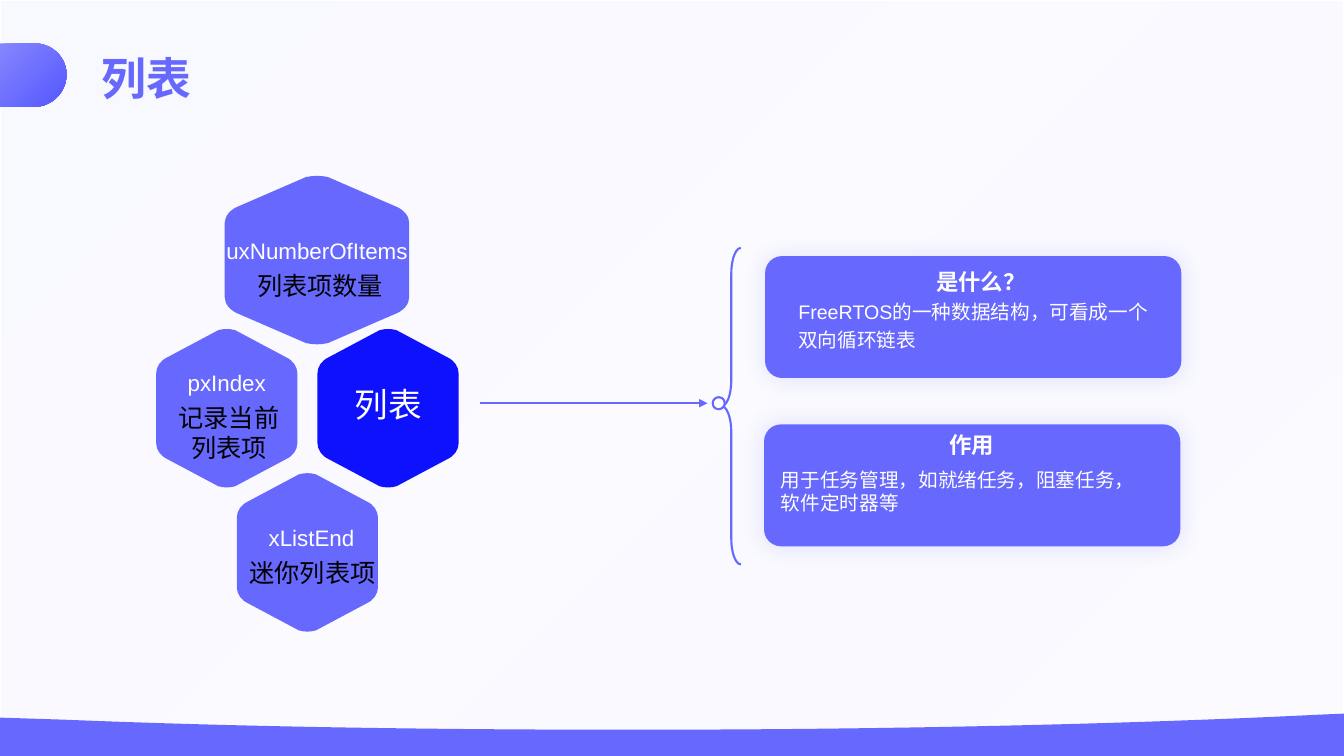
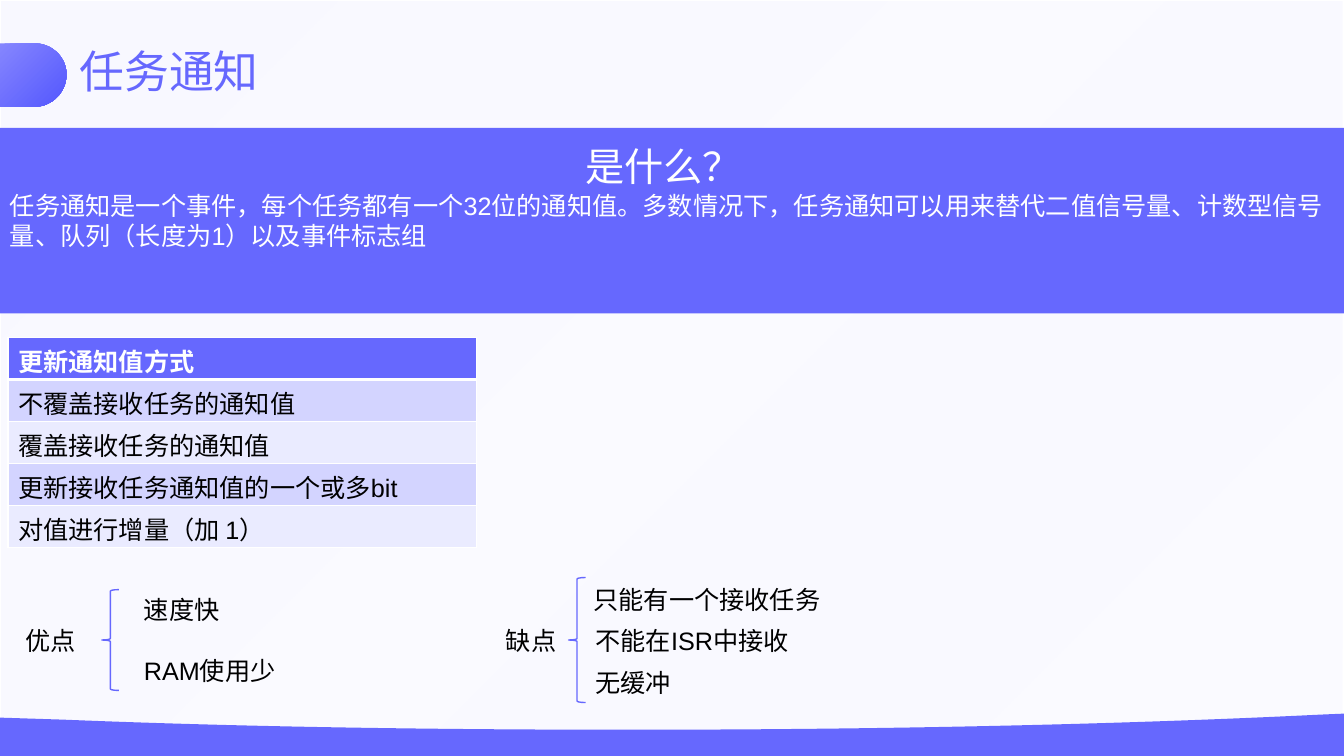
from lxml import etree
from pptx import Presentation
from pptx.dml.color import RGBColor
from pptx.enum.shapes import MSO_CONNECTOR, MSO_SHAPE
from pptx.enum.text import MSO_ANCHOR, PP_ALIGN
from pptx.oxml.ns import qn
from pptx.util import Inches, Pt

WIDE, HIGH = 40 / 3, 7.5
LEFT, MID = PP_ALIGN.LEFT, PP_ALIGN.CENTER
TOP, CENTRE = MSO_ANCHOR.TOP, MSO_ANCHOR.MIDDLE
RECT, ROUND = MSO_SHAPE.RECTANGLE, MSO_SHAPE.ROUNDED_RECTANGLE
BRACE, OVAL = MSO_SHAPE.LEFT_BRACE, MSO_SHAPE.OVAL
STRAIGHT = MSO_CONNECTOR.STRAIGHT
FONT = "Arial"
HUES = {
    "main": "6668FE", "deep": "0E11FD", "glow": "7577FE",
    "pale": "8586FE", "rich": "5457FE", "mist": "F7F7FF",
    "odd": "D3D4FF", "even": "EAEBFF", "white": "FFFFFF", "black": "000000",
}
# Gradient stops: place, colour, opacity, all in percent
SKY = [(0, "main", 2), (0, "pale", 5), (100, "main", 2)]
TAB = [(0, "mist", 100), (0, "pale", 100), (100, "rich", 100)]

# Outlines: a pair is a straight step, a triple of pairs is a curve
WAVE = [(WIDE, 7.08), (WIDE, 7.52), (0, 7.52), (0, 7.12), (0.63, 7.14),
        ((2.35, 7.21), (4.25, 7.24), (6.24, 7.24)),
        ((8.72, 7.24), (11.06, 7.19), (13.1, 7.09))]
PILL = [(0, 0.43), (0.34, 0.43), ((0.52, 0.43), (0.66, 0.57), (0.66, 0.74)),
        ((0.66, 0.91), (0.52, 1.06), (0.34, 1.06)), (0, 1.06)]
# Hexagon in shares of its box
HEX = [(0.56, 0.01), (0.92, 0.18), ((0.97, 0.2), (1, 0.24), (1, 0.28)),
       (1, 0.72), ((1, 0.76), (0.97, 0.8), (0.92, 0.82)),
       (0.56, 0.99), ((0.52, 1), (0.48, 1), (0.44, 0.99)),
       (0.08, 0.82), ((0.03, 0.8), (0, 0.76), (0, 0.72)),
       (0, 0.28), ((0, 0.24), (0.03, 0.2), (0.08, 0.18)),
       (0.44, 0.01), ((0.48, 0), (0.52, 0), (0.56, 0.01))]

HEXES = [
    ((3.15, 3.26, 1.4, 1.58), "deep"),
    ((2.23, 1.74, 1.83, 1.68), "main"),
    ((1.55, 3.26, 1.4, 1.58), "main"),
    ((2.35, 4.69, 1.4, 1.58), "main"),
]
# Names without inset: text, box, size
NAMES = [
    ("列表", (3.39, 3.81, 0.93, 0.4), 24),
    ("uxNumberOfItems", (2.23, 2.35, 1.83, 0.27), 16),
    ("pxIndex", (1.85, 3.66, 0.8, 0.27), 16),
    ("xListEnd", (2.65, 5.2, 0.88, 0.27), 16),
]
NOTES = [
    ("记录当前列表项", (1.61, 3.94, 1.32, 0.45)),
    ("列表项数量", (2.35, 2.63, 1.65, 0.42)),
    ("迷你列表项", (2.35, 5.48, 1.5, 0.31)),
]
# Cards: corner, text box, heading with any body beneath it
CARDS = [
    ((7.59, 2.54), (7.92, 2.61, 3.62, 0.92),
     ["是什么？", "FreeRTOS的一种数据结构，可看成一个双向循环链表"]),
    ((7.58, 4.21), (7.83, 4.22, 3.62, 0.32), ["作用"]),
]
USE = "用于任务管理，如就绪任务，阻塞任务，软件定时器等"
EVENT = ("任务通知是一个事件，每个任务都有一个32位的通知值。多数情况下，任务通知可以用来"
         "替代二值信号量、计数型信号量、队列（长度为1）以及事件标志组")
ROWS = ["更新通知值方式", "不覆盖接收任务的通知值", "覆盖接收任务的通知值",
        "更新接收任务通知值的一个或多bit", "对值进行增量（加 1）"]
BRACES = [(1.01, 5.85, 0.17, 1), (5.64, 5.73, 0.17, 1.24)]
# Labels: text, left, top, width
LABELS = [
    ("优点", 0.15, 6.15, 0.7),
    ("速度快", 1.33, 5.85, 1.72),
    ("RAM使用少", 1.33, 6.45, 1.59),
    ("缺点", 4.92, 6.15, 0.88),
    ("只能有一个接收任务", 5.79, 5.75, 4.44),
    ("不能在ISR中接收", 5.81, 6.15, 4.44),
    ("无缓冲", 5.81, 6.57, 4.44),
]


def rgb(hue):
    return RGBColor.from_string(HUES[hue])


def inch(box):
    return [Inches(n) for n in box]


def tint(parent, hue, share):
    """Colour element with an opacity in percent."""
    mark = etree.SubElement(parent, qn("a:srgbClr"), val=HUES[hue])
    if share < 100:
        etree.SubElement(mark, qn("a:alpha"), val=str(share * 1000))


def blend(shape, stops):
    """Gradient from top left to bottom right."""
    shape.fill.gradient()
    shape.fill.gradient_angle = 315
    bag = shape._element.spPr.find(".//" + qn("a:gsLst"))
    for old in list(bag):
        bag.remove(old)
    for place, hue, share in stops:
        stop = etree.SubElement(bag, qn("a:gs"), pos=str(place * 1000))
        tint(stop, hue, share)


def style(para, size, hue, align=LEFT, bold=False, space=1):
    para.alignment = align
    para.line_spacing = space
    font = para.font
    font.name, font.size, font.bold = FONT, Pt(size), bold
    font.color.rgb = rgb(hue)


def write(slide, text, box, size, hue, inset=True, **look):
    frame = slide.shapes.add_textbox(*inch(box)).text_frame
    frame.word_wrap = True
    if not inset:
        frame.margin_left = frame.margin_right = 0
        frame.margin_top = frame.margin_bottom = 0
    para = frame.paragraphs[0]
    para.text = text
    style(para, size, hue, **look)
    return frame


def paint(shape, fill=None, line=None, width=1):
    shape.shadow.inherit = False
    if fill:
        shape.fill.solid()
        shape.fill.fore_color.rgb = rgb(fill)
    else:
        shape.fill.background()
    if line:
        shape.line.color.rgb = rgb(line)
        shape.line.width = Pt(width)
    else:
        shape.line.fill.background()
    return shape


def draw(slide, kind, box, *look):
    return paint(slide.shapes.add_shape(kind, *inch(box)), *look)


def trace(slide, steps, hue, box=(0, 0, 1, 1)):
    """Closed outline of straight steps and curves, scaled into a box."""
    left, top, wide, high = box
    dots, bends = [], []
    for step in steps:
        if isinstance(step[0], tuple):
            bends.append(len(dots) - 1)
            dots.extend(step)
        else:
            dots.append(step)
    dots = [inch((left + x * wide, top + y * high)) for x, y in dots]
    pen = slide.shapes.build_freeform(*dots[0], scale=1.0)
    pen.add_line_segments(dots[1:], close=True)
    shape = pen.convert_to_shape()
    lines = list(shape._element.iter(qn("a:lnTo")))
    for first in bends:
        bend = etree.Element(qn("a:cubicBezTo"))
        lines[first].addprevious(bend)
        for line in lines[first:first + 3]:
            bend.append(line[0])
            line.getparent().remove(line)
    return paint(shape, hue)


def glow(shape):
    effects = shape._element.spPr.find(qn("a:effectLst"))
    outer = etree.SubElement(effects, qn("a:outerShdw"), blurRad=str(Pt(15)),
                             dist="0", algn="ctr", rotWithShape="0")
    tint(outer, "glow", 20)


def arrow(slide, start, end):
    line = slide.shapes.add_connector(STRAIGHT, *inch(start + end))
    line.line.color.rgb = rgb("main")
    line.line.width = Pt(1.75)
    etree.SubElement(line.line._get_or_add_ln(), qn("a:tailEnd"), type="triangle")
    etree.SubElement(line._element.spPr, qn("a:effectLst"))


def rule(cell):
    """Thick white line under a header cell."""
    edge = etree.Element(qn("a:lnB"), w=str(Pt(3)))
    tint(etree.SubElement(edge, qn("a:solidFill")), "white", 100)
    cell._tc.get_or_add_tcPr().insert(0, edge)


def base(deck, title, box, bold):
    """New slide with the shared backdrop, wave, tab and title."""
    slide = deck.slides.add_slide(deck.slide_layouts[6])
    blend(draw(slide, RECT, (0, 0, WIDE, HIGH), "white", "white"), SKY)
    trace(slide, WAVE, "main")
    blend(trace(slide, PILL, "main"), TAB)
    write(slide, title, box, 32, "main", bold=bold, space=0.9)
    return slide


def fill_list(deck):
    slide = base(deck, "列表", (0.91, 0.51, 5.09, 0.58), True)
    for box, hue in HEXES:
        trace(slide, HEX, hue, box)
    for text, box, size in NAMES:
        write(slide, text, box, size, "white", inset=False, align=MID)
    arrow(slide, (4.76, 4), (7.02, 4))
    for spot, box, (head, *rest) in CARDS:
        card = draw(slide, ROUND, spot + (4.13, 1.21), "main")
        card.adjustments[0] = 0.14
        glow(card)
        frame = write(slide, head, box, 16, "white", inset=False,
                      align=MID, bold=True, space=1.2)
        for body in rest:
            para = frame.add_paragraph()
            para.text = body
            style(para, 14, "white", space=1.2)
    brace = draw(slide, BRACE, (7.16, 2.46, 0.19, 3.14), None, "main", 1.5)
    brace.adjustments[0] = 1.36
    draw(slide, OVAL, (7.07, 3.94, 0.12, 0.12), "white", "main", 1.5)
    for text, box in NOTES:
        write(slide, text, box, 18, "black", align=MID)
    write(slide, USE, (7.65, 4.59, 3.9, 0.6), 14, "white")


def fill_task(deck):
    slide = base(deck, "任务通知", (0.69, 0.44, 2.12, 0.58), False)
    frame = draw(slide, RECT, (0, 1.27, WIDE, 1.84), "main").text_frame
    frame.word_wrap, frame.vertical_anchor = True, CENTRE
    frame.text = EVENT
    style(frame.paragraphs[0], 18, "white")
    write(slide, "是什么？", (5.71, 1.36, 1.62, 0.57), 28, "white")
    for box in BRACES:
        draw(slide, BRACE, box, None, "main")
    for text, left, top, wide in LABELS:
        write(slide, text, (left, top, wide, 0.4), 18, "black")
    grid = slide.shapes.add_table(len(ROWS), 1, *inch((0.08, 3.35, 4.65, 2.08))).table
    for i, text in enumerate(ROWS):
        cell = grid.cell(i, 0)
        cell.text, cell.vertical_anchor = text, TOP
        cell.fill.solid()
        cell.fill.fore_color.rgb = rgb(("odd" if i % 2 else "even") if i else "main")
        style(cell.text_frame.paragraphs[0], 18, "black" if i else "white", bold=not i)
    rule(grid.cell(0, 0))


def main():
    deck = Presentation()
    deck.slide_width, deck.slide_height = Inches(WIDE), Inches(HIGH)
    fill_list(deck)
    fill_task(deck)
    deck.save("out.pptx")


if __name__ == "__main__":
    main()
